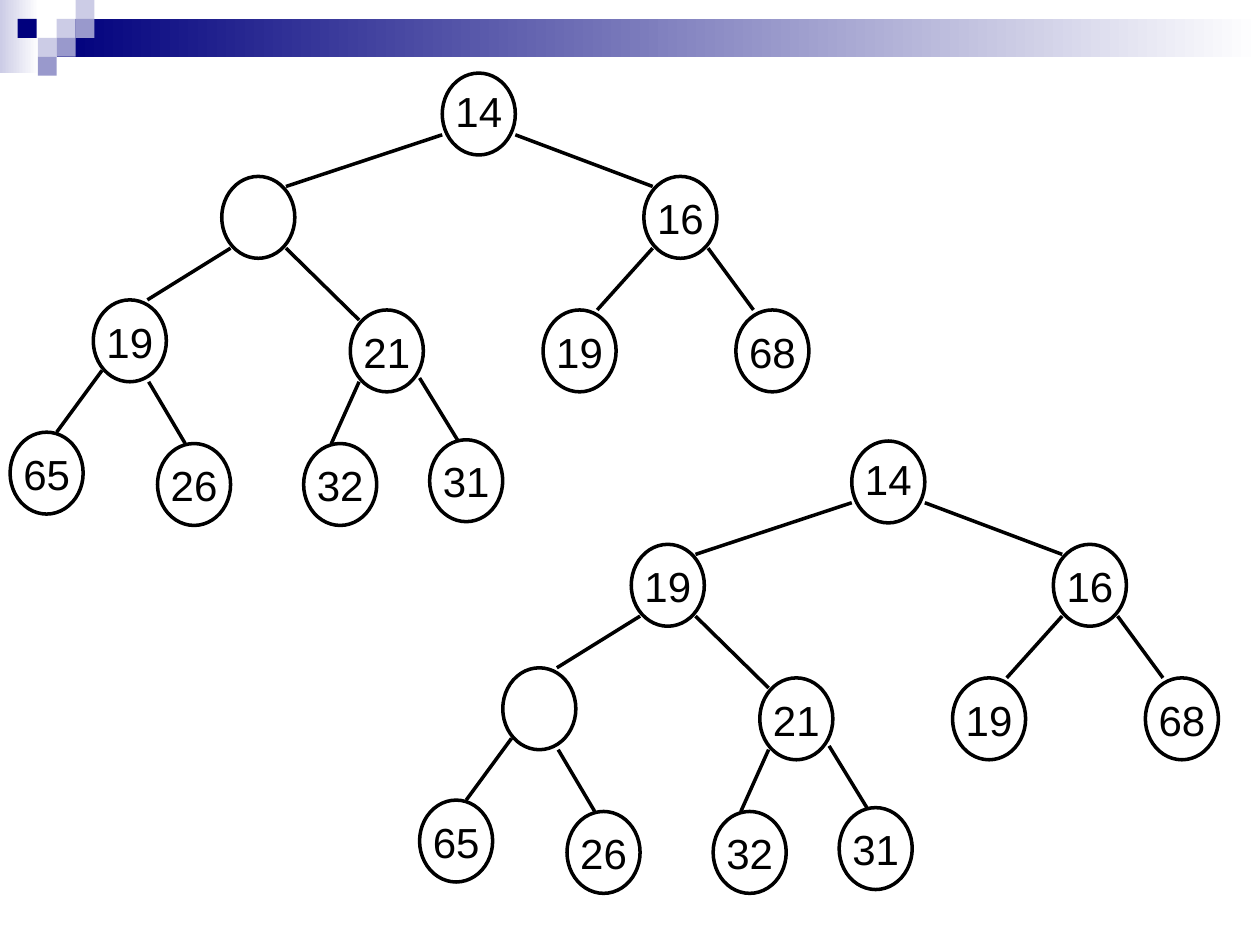
from lxml.etree import SubElement
from pptx import Presentation
from pptx.dml.color import RGBColor
from pptx.enum.shapes import MSO_CONNECTOR, MSO_SHAPE
from pptx.enum.text import MSO_AUTO_SIZE, PP_ALIGN
from pptx.oxml.ns import qn
from pptx.util import Inches, Pt

COLOURS = {"navy": "00007D", "lilac": "9999CC", "pale": "CCCCE6",
           "white": "FFFFFF", "ink": "000000"}
NODE_WIDTH, NODE_HEIGHT, LABEL_HEIGHT = 0.58, 0.65, 0.5
TILE = 0.15

NODES = {
    "root": (3.51, 0.58), "left": (1.76, 1.4), "right": (5.11, 1.4),
    "left_left": (0.74, 2.38), "left_right": (2.78, 2.46),
    "right_left": (4.31, 2.46), "right_right": (5.84, 2.46),
    "leaf_1": (0.08, 3.43), "leaf_2": (1.25, 3.52),
    "leaf_3": (2.41, 3.52), "leaf_4": (3.41, 3.49),
}
EDGES = [
    (3.51, 1.07, 2.27, 1.48), (4.09, 1.07, 5.18, 1.48),
    (1.83, 1.97, 1.17, 2.38), (2.27, 1.97, 2.85, 2.54),
    (5.18, 1.97, 4.74, 2.46), (5.62, 1.97, 5.98, 2.46),
    (0.81, 2.94, 0.45, 3.43), (1.18, 3.03, 1.47, 3.52),
    (2.85, 3.03, 2.63, 3.52), (3.33, 3, 3.63, 3.49),
]
LABELS = {"root": "14", "right": "16", "left_right": "21",
          "right_left": "19", "right_right": "68",
          "leaf_1": "65", "leaf_2": "26", "leaf_3": "32", "leaf_4": "31"}
TREES = [
    (0, 0, LABELS | {"left_left": "19"}),
    (3.25, 2.92, LABELS | {"left": "19"}),
]
BANDS = [(0, 0, 0.31, 0.58, "pale"), (0.45, 0.15, 9.55, 0.3, "navy")]
TILES = [(0.45, 0.15, "pale"), (0.6, 0, "pale"), (0.6, 0.15, "lilac"),
         (0.3, 0.3, "pale"), (0.14, 0.15, "navy"), (0.45, 0.3, "lilac"),
         (0.3, 0.45, "lilac")]


def colour(name):
    return RGBColor.from_string(COLOURS[name])


class TreePage:
    font, size, line_width = "Arial", Pt(24), Pt(2)

    def __init__(self, page):
        self.page = page

    def shape(self, kind, left, top, width, height):
        shape = self.page.shapes.add_shape(
            kind, Inches(left), Inches(top), Inches(width), Inches(height))
        shape.shadow.inherit = False
        return shape

    def band(self, left, top, width, height, start):
        band = self.shape(MSO_SHAPE.RECTANGLE, left, top, width, height)
        band.line.fill.background()
        band.fill.gradient()
        band.fill.gradient_angle = 0
        for stop, name in zip(band.fill.gradient_stops, (start, "white")):
            stop.color.rgb = colour(name)

    def tile(self, left, top, name):
        tile = self.shape(MSO_SHAPE.RECTANGLE, left, top, TILE, TILE)
        tile.line.fill.background()
        tile.fill.solid()
        tile.fill.fore_color.rgb = colour(name)

    def edge(self, *ends):
        edge = self.page.shapes.add_connector(
            MSO_CONNECTOR.STRAIGHT, *[Inches(value) for value in ends])
        edge.line.color.rgb = colour("ink")
        edge.line.width = self.line_width
        SubElement(edge._element.spPr, qn("a:effectLst"))

    def node(self, left, top):
        node = self.shape(MSO_SHAPE.OVAL, left, top, NODE_WIDTH, NODE_HEIGHT)
        node.fill.background()
        node.line.color.rgb = colour("ink")
        node.line.width = self.line_width

    def label(self, left, top, text):
        box = self.page.shapes.add_textbox(
            Inches(left), Inches(top), Inches(NODE_WIDTH), Inches(LABEL_HEIGHT))
        frame = box.text_frame
        frame.word_wrap = True
        frame.auto_size = MSO_AUTO_SIZE.SHAPE_TO_FIT_TEXT
        para = frame.paragraphs[0]
        para.alignment = PP_ALIGN.CENTER
        para.space_before = Pt(15)
        span = para.add_run()
        span.text = text
        span.font.name = self.font
        span.font.size = self.size
        span.font.color.rgb = colour("ink")

    def tree(self, across, down, labels):
        for x1, y1, x2, y2 in EDGES:
            self.edge(x1 + across, y1 + down, x2 + across, y2 + down)
        for name, (left, top) in NODES.items():
            self.node(left + across, top + down)
            if name in labels:
                drop = 0.05 if name == "root" else 0.08
                self.label(left + across, top + down + drop, labels[name])


def main():
    deck = Presentation()
    deck.slide_width, deck.slide_height = Inches(10), Inches(7.5)
    page = TreePage(deck.slides.add_slide(deck.slide_layouts[6]))
    for band in BANDS:
        page.band(*band)
    for tile in TILES:
        page.tile(*tile)
    for tree in TREES:
        page.tree(*tree)
    deck.save("out.pptx")


if __name__ == "__main__":
    main()
